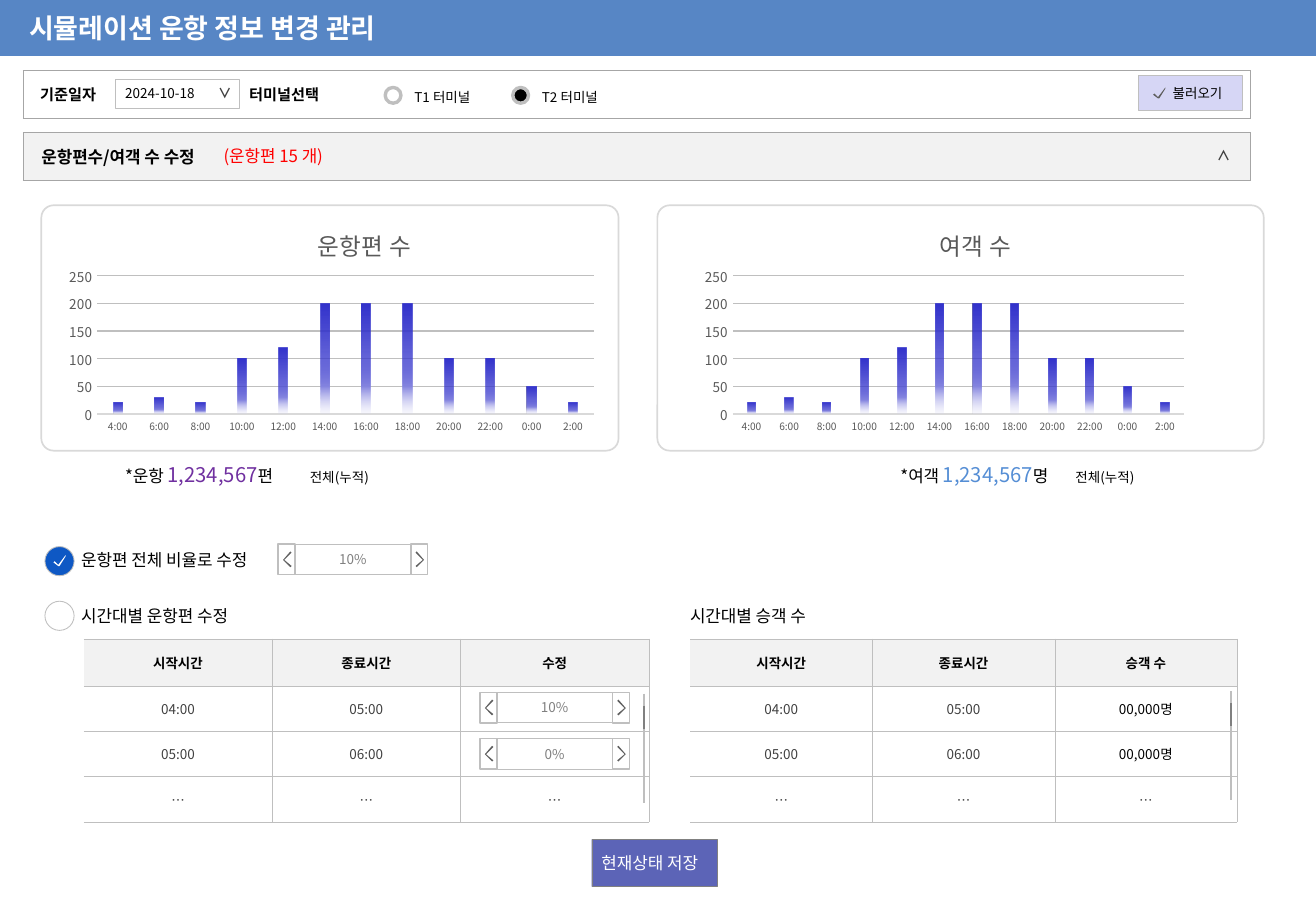
from dataclasses import dataclass
from typing import NamedTuple

import pptx
import pptx.chart.data
import pptx.dml.color
import pptx.enum.chart
import pptx.enum.shapes
import pptx.enum.text
import pptx.oxml.ns
import pptx.util
from lxml import etree

RGB = pptx.dml.color.RGBColor
SHAPE = pptx.enum.shapes.MSO_SHAPE
ALIGN = pptx.enum.text.PP_ALIGN
MIDDLE = pptx.enum.text.MSO_ANCHOR.MIDDLE
Pt = pptx.util.Pt
qn = pptx.oxml.ns.qn

PX = 9144  # 100 px to the inch
FONT = "Noto Sans CJK KR"
BLACK, WHITE, RED = RGB(0, 0, 0), RGB(255, 255, 255), RGB(255, 0, 0)
BANNER_BLUE, CHECK_BLUE = RGB(0x57, 0x86, 0xC5), RGB(0x0E, 0x58, 0xC4)
LILAC, INDIGO = RGB(0xD6, 0xD6, 0xF5), RGB(0x5C, 0x64, 0xB7)
PURPLE, SKY = RGB(0x70, 0x30, 0xA0), RGB(0x55, 0x8E, 0xD5)
DARK, ICON, GRAY = RGB(0x40, 0x40, 0x40), RGB(0x5F, 0x5F, 0x5F), RGB(0x80, 0x80, 0x80)
AXIS_TEXT, BAR_EDGE = RGB(0x59, 0x59, 0x59), RGB(0xA6, 0xA6, 0xA6)
SILVER, FRAME, PALE = RGB(0xBF, 0xBF, 0xBF), RGB(0xD9, 0xD9, 0xD9), RGB(0xF2, 0xF2, 0xF2)

CHEVRON = [(6, 0), (0, 7), (6, 13), (7, 12), (1, 7), (7, 1)]
CHECK = [(10, 0), (4, 8), (1, 5), (0, 6), (4, 9), (5, 9), (10, 1)]
# position %, colour, opacity %
BAR_STOPS = [(0, "3333CC", 100), (51, "3333CC", 75), (75, "8585E0", 100), (100, "D6D6F5", 15)]
HOURS = [f"{hour % 24}:00" for hour in range(4, 28, 2)]
COUNTS = [20, 30, 20, 100, 120, 200, 200, 200, 100, 100, 50, 20]


class Box(NamedTuple):
    left: int
    top: int
    width: int
    height: int

    def emu(self) -> list[int]:
        return [value * PX for value in self]


class Span(NamedTuple):
    text: str
    size: int = 8
    color: RGB = BLACK
    bold: bool = False


@dataclass
class Panel:
    title: str
    title_left: float
    frame: Box
    chart: Box
    summary: Box
    inset: int
    tab: int
    spans: list[Span]


@dataclass
class TimeTable:
    heading: str
    heading_left: int
    left: int
    column: int
    last_column: list[str]
    scroll: tuple[int, int]


PANELS = [
    Panel("운항편 수", 0.42, Box(34, 169, 475, 202), Box(38, 165, 524, 207), Box(22, 376, 373, 30), 81, 152,
          [Span("*운항 ", 10), Span("1,234,567", 12, PURPLE), Span("편\t", 10), Span("전체(누적)")]),
    Panel("여객 수", 0.43, Box(541, 169, 499, 202), Box(565, 165, 476, 207), Box(656, 376, 372, 30), 85, 144,
          [Span("*여객 ", 10), Span("1,234,567", 12, SKY), Span("명\t", 10), Span("전체(누적)")]),
]
TIME_TABLES = [
    TimeTable("시간대별 운항편 수정", 57, 69, 155, ["수정", "", "", "…"], (530, 571)),
    TimeTable("시간대별 승객 수", 558, 568, 150, ["승객 수", "00,000명", "00,000명", "…"], (1013, 569)),
]
STEPPERS = [(229, 448, "10%"), (395, 570, "10%"), (395, 608, "0%")]


def write_spans(frame, spans: list[Span], align=ALIGN.LEFT) -> None:
    para = frame.paragraphs[0]
    para.alignment = align
    for item in spans:
        span = para.add_run()
        span.text = item.text
        span.font.name = FONT
        span.font.size = Pt(item.size)
        span.font.bold = item.bold
        span.font.color.rgb = item.color


def add_tab(element, position: int) -> None:
    tabs = etree.SubElement(next(element.iter(qn("a:pPr"))), qn("a:tabLst"))
    etree.SubElement(tabs, qn("a:tab"), pos=str(position * PX), algn="l")


def set_east_asian_font(element) -> None:
    """Give Hangul the same typeface as the Latin text."""
    for latin in list(element.iter(qn("a:latin"))):
        east_asian = etree.Element(qn("a:ea"), typeface=latin.get("typeface"))
        latin.addnext(east_asian)


def paint(shape, fill: RGB | None, line: RGB | None, weight: float) -> None:
    shape.shadow.inherit = False
    if fill is None:
        shape.fill.background()
    else:
        shape.fill.solid()
        shape.fill.fore_color.rgb = fill
    if line is None:
        shape.line.fill.background()
    else:
        shape.line.color.rgb = line
        shape.line.width = Pt(weight)


def add_figure(page, kind, box: Box, fill: RGB | None = None, line: RGB | None = None, weight: float = 0.25,
               spans: list[Span] | None = None, align=ALIGN.LEFT, inset: int = 8):
    shape = page.shapes.add_shape(kind, *box.emu())
    paint(shape, fill, line, weight)
    if spans:
        frame = shape.text_frame
        frame.margin_left = inset * PX
        frame.margin_right = frame.margin_top = frame.margin_bottom = 0
        if align == ALIGN.CENTER:
            frame.margin_left = 0
        frame.vertical_anchor = MIDDLE
        write_spans(frame, spans, align)
    return shape


def add_label(page, box: Box, spans: list[Span], inset: int = 10):
    label = page.shapes.add_textbox(*box.emu())
    label.text_frame.word_wrap = True
    label.text_frame.margin_left = inset * PX
    write_spans(label.text_frame, spans)
    return label


def add_icon(page, left: int, top: int, points: list[tuple[int, int]], color: RGB) -> None:
    corners = [((left + x) * PX, (top + y) * PX) for x, y in points]
    builder = page.shapes.build_freeform(*corners[0])
    builder.add_line_segments(corners[1:])
    paint(builder.convert_to_shape(), color, None, 0)


def add_line(page, left: int, top: int, length: int, color: RGB, weight: float) -> None:
    line = page.shapes.add_connector(pptx.enum.shapes.MSO_CONNECTOR.STRAIGHT,
                                     left * PX, top * PX, left * PX, (top + length) * PX)
    line.line.color.rgb = color
    line.line.width = Pt(weight)
    etree.SubElement(line.element.spPr, qn("a:effectLst"))


def add_stepper(page, left: int, top: int, value: str) -> None:
    add_figure(page, SHAPE.RECTANGLE, Box(left + 14, top, 95, 25), WHITE, SILVER,
               spans=[Span(value, 8, GRAY)], align=ALIGN.CENTER)
    mirrored = [(7 - x, y) for x, y in CHEVRON]
    for offset, points in ((0, CHEVRON), (109, mirrored)):
        add_figure(page, SHAPE.RECTANGLE, Box(left + offset, top, 14, 25), WHITE, SILVER, 1)
        add_icon(page, left + offset + 4, top + 6, points, ICON)


def add_grid(page, left: int, top: int, columns: list[int], rows: list[int], edge: RGB, open_left: bool):
    box = Box(left, top, sum(columns), sum(rows))
    grid = page.shapes.add_table(len(rows), len(columns), *box.emu())
    table = grid.table
    table.first_row = table.horz_banding = False
    for column, width in zip(table.columns, columns):
        column.width = width * PX
    for row, height in zip(table.rows, rows):
        row.height = height * PX
    for cell in table.iter_cells():
        cell.margin_left = cell.margin_right = cell.margin_top = cell.margin_bottom = 0
        cell.vertical_anchor = MIDDLE
        cell.fill.background()
    for index, properties in enumerate(grid.element.iter(qn("a:tcPr"))):
        for place, side in enumerate(("lnL", "lnR", "lnT", "lnB")):
            border = etree.Element(qn(f"a:{side}"), w=str(Pt(0.25)))
            if side == "lnL" and open_left and index % len(columns) == 0:
                etree.SubElement(border, qn("a:noFill"))
            else:
                fill = etree.SubElement(border, qn("a:solidFill"))
                etree.SubElement(fill, qn("a:srgbClr"), val=str(edge))
            properties.insert(place, border)
    return grid


def add_bar(page, top: int, fill: RGB | None, inset: int, span: Span):
    grid = add_grid(page, 19, top, [1010], [39], BAR_EDGE, False)
    cell = grid.table.cell(0, 0)
    cell.margin_left = inset * PX
    if fill is not None:
        cell.fill.solid()
        cell.fill.fore_color.rgb = fill
    write_spans(cell.text_frame, [span])
    return grid


def add_time_table(page, spec: TimeTable) -> None:
    grid = add_grid(page, spec.left, 526, [spec.column] * 3, [39, 37, 37, 38], SILVER, True)
    columns = [["시작시간", "04:00", "05:00", "…"], ["종료시간", "05:00", "06:00", "…"], spec.last_column]
    for x, texts in enumerate(columns):
        for y, text in enumerate(texts):
            cell = grid.table.cell(y, x)
            cell.fill.solid()
            cell.fill.fore_color.rgb = WHITE if y else PALE
            color = BLACK if y == 0 or text.endswith("명") else DARK
            if text:
                write_spans(cell.text_frame, [Span(text, 8, color, y == 0)], ALIGN.CENTER)
    add_label(page, Box(spec.heading_left, 494, 169, 27), [Span(spec.heading, 10)])
    left, top = spec.scroll
    add_line(page, left, top, 90, SILVER, 0.75)
    add_line(page, left, top + 10, 19, GRAY, 1.5)


def set_layout(owner, anchor, **fractions: float) -> None:
    """Place a chart part by fractions of the chart's size."""
    for old in owner.findall(qn("c:layout")):
        owner.remove(old)
    layout = etree.Element(qn("c:layout"))
    manual = etree.SubElement(layout, qn("c:manualLayout"))
    if "w" in fractions:
        etree.SubElement(manual, qn("c:layoutTarget"), val="inner")
    for axis in ("xMode", "yMode"):
        etree.SubElement(manual, qn(f"c:{axis}"), val="edge")
    for name, value in fractions.items():
        etree.SubElement(manual, qn(f"c:{name}"), val=str(value))
    if anchor is None:
        owner.insert(0, layout)
    else:
        anchor.addnext(layout)


def add_panel(page, spec: Panel) -> None:
    frame = add_figure(page, SHAPE.ROUNDED_RECTANGLE, spec.frame, None, FRAME, 1)
    frame.adjustments[0] = 0.05
    data = pptx.chart.data.CategoryChartData()
    data.categories = HOURS
    data.add_series("Series 1", COUNTS)
    kind = pptx.enum.chart.XL_CHART_TYPE.COLUMN_CLUSTERED
    chart = page.shapes.add_chart(kind, *spec.chart.emu(), data).chart
    chart.has_legend = False
    chart.font.name, chart.font.size = "Arial", Pt(10)
    chart.font.color.rgb = BLACK
    chart.has_title = True
    write_spans(chart.chart_title.text_frame, [Span(spec.title, 14, AXIS_TEXT)], ALIGN.CENTER)
    for axis, size in ((chart.category_axis, 6), (chart.value_axis, 8)):
        axis.major_tick_mark = axis.minor_tick_mark = pptx.enum.chart.XL_TICK_MARK.NONE
        font = axis.tick_labels.font
        font.name, font.size = FONT, Pt(size)
        font.color.rgb = AXIS_TEXT
    chart.category_axis.format.line.color.rgb = FRAME
    values = chart.value_axis
    values.minimum_scale, values.maximum_scale, values.major_unit = 0, 250, 50
    values.format.line.fill.background()
    values.major_gridlines.format.line.color.rgb = SILVER
    values.major_gridlines.format.line.width = Pt(0.75)
    plot = chart.plots[0]
    plot.gap_width, plot.overlap, plot.vary_by_categories = 355, -70, False
    fill = plot.series[0].format.fill
    fill.gradient()
    fill.gradient_angle = 270
    stops = next(chart.element.iter(qn("a:gsLst")))
    for stop in list(stops):
        stops.remove(stop)
    for position, color, opacity in BAR_STOPS:
        stop = etree.SubElement(stops, qn("a:gs"), pos=str(position * 1000))
        shade = etree.SubElement(stop, qn("a:srgbClr"), val=color)
        etree.SubElement(shade, qn("a:alpha"), val=str(opacity * 1000))
    title = next(chart.element.iter(qn("c:title")))
    set_layout(title, title.find(qn("c:tx")), x=spec.title_left, y=0.08)
    set_layout(next(chart.element.iter(qn("c:plotArea"))), None, x=0.08, y=0.3, w=0.78, h=0.55)
    set_east_asian_font(chart.element)
    summary = add_label(page, spec.summary, spec.spans, spec.inset)
    add_tab(summary.element, spec.tab)


def add_title(page) -> None:
    banner = add_figure(page, SHAPE.RECTANGLE, Box(0, 0, 1083, 46), BANNER_BLUE)
    title = page.shapes.title
    title.element.addprevious(banner.element)
    title.left, title.top, title.width, title.height = Box(14, 4, 1069, 37).emu()
    title.text_frame.vertical_anchor = MIDDLE
    write_spans(title.text_frame, [Span("시뮬레이션 운항 정보 변경 관리", 16, WHITE, True)])


def add_filters(page) -> None:
    bar = add_bar(page, 58, None, 14, Span("기준일자\t터미널선택", 9, BLACK, True))
    add_tab(bar.element, 172)
    add_figure(page, SHAPE.RECTANGLE, Box(95, 65, 102, 24), WHITE, SILVER, spans=[Span("2024-10-18")])
    arrow = [Span("∨", 8, DARK, True)]
    add_figure(page, SHAPE.RECTANGLE, Box(171, 63, 28, 28), spans=arrow, align=ALIGN.CENTER)
    for left, text, fill in ((317, "T1 터미널", WHITE), (422, "T2 터미널", BLACK)):
        add_figure(page, SHAPE.OVAL, Box(left, 72, 13, 13), fill, SILVER, 2)
        add_figure(page, SHAPE.RECTANGLE, Box(left + 16, 68, 90, 24), spans=[Span(text)])
    add_figure(page, SHAPE.RECTANGLE, Box(937, 62, 85, 29), LILAC, SILVER, spans=[Span("불러오기")], inset=28)
    add_icon(page, 949, 72, CHECK, ICON)
    add_bar(page, 109, PALE, 15, Span("운항편수/여객 수 수정", 10, BLACK, True))
    add_label(page, Box(171, 115, 146, 27), [Span("(운항편 15 개)", 10, RED)], 13)
    collapse = add_figure(page, SHAPE.RECTANGLE, Box(993, 114, 28, 28), spans=arrow, align=ALIGN.CENTER)
    collapse.rotation = 180


def main() -> None:
    deck = pptx.Presentation()
    deck.slide_width, deck.slide_height = 1083 * PX, 750 * PX
    page = deck.slides.add_slide(deck.slide_layouts.get_by_name("Title Only"))
    add_title(page)
    add_filters(page)
    for panel in PANELS:
        add_panel(page, panel)
    for time_table in TIME_TABLES:
        add_time_table(page, time_table)
    for left, top, value in STEPPERS:
        add_stepper(page, left, top, value)
    add_label(page, Box(57, 448, 170, 27), [Span("운항편 전체 비율로 수정", 10)])
    for top, fill in ((450, CHECK_BLUE), (495, WHITE)):
        add_figure(page, SHAPE.OVAL, Box(37, top, 24, 24), fill, SILVER, 0.5)
    add_icon(page, 44, 457, CHECK, WHITE)
    add_figure(page, SHAPE.RECTANGLE, Box(487, 691, 103, 39), INDIGO, GRAY,
               spans=[Span("현재상태 저장", 10, WHITE)])
    set_east_asian_font(page.element)
    deck.save("out.pptx")


if __name__ == "__main__":
    main()
